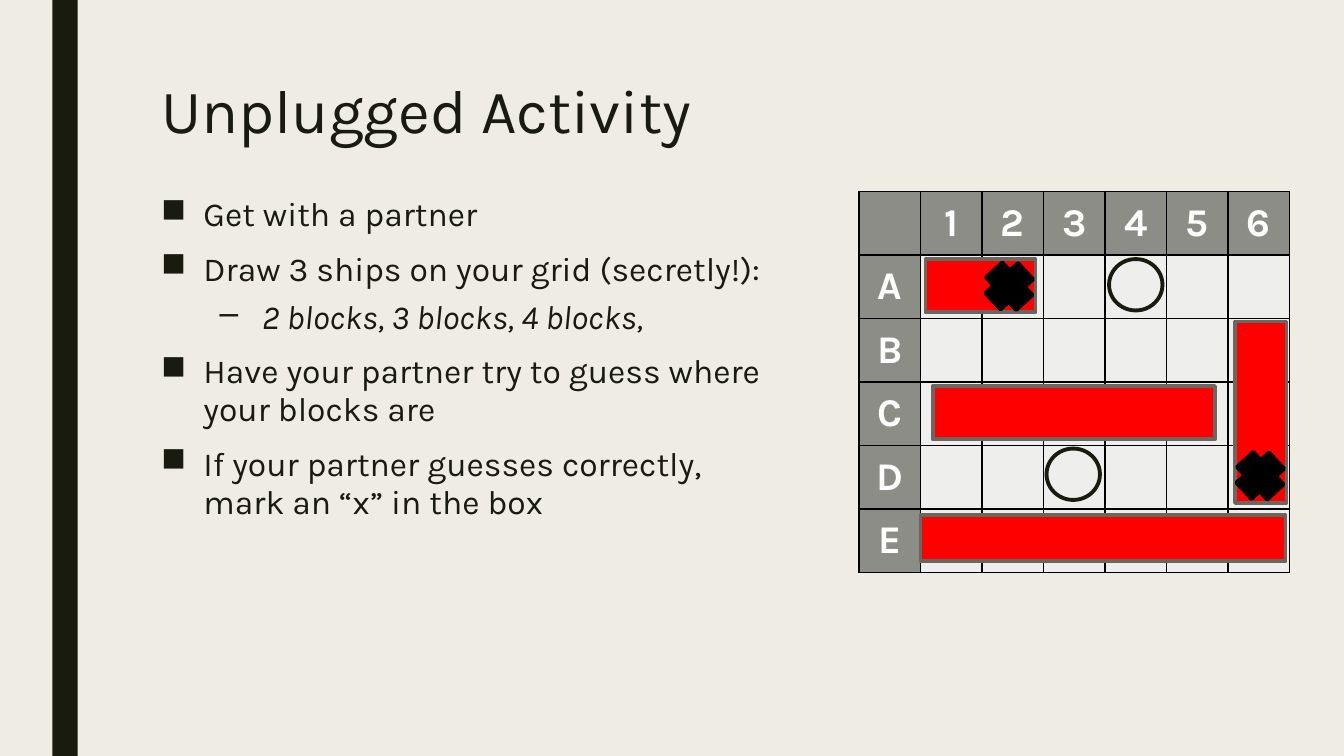
import pptx
import pptx.util
import pptx.dml.color
import pptx.enum.shapes
import pptx.enum.text
import pptx.oxml
import pptx.oxml.ns

Inches, Pt = pptx.util.Inches, pptx.util.Pt
RGBColor = pptx.dml.color.RGBColor
MSO_SHAPE = pptx.enum.shapes.MSO_SHAPE
PP_ALIGN = pptx.enum.text.PP_ALIGN
MSO_ANCHOR = pptx.enum.text.MSO_ANCHOR

FONT = "Karla"
CREAM = RGBColor(0xEF, 0xED, 0xE3)
INK = RGBColor(0x19, 0x1B, 0x0E)
WHITE = RGBColor(0xFF, 0xFF, 0xFF)
BLACK = RGBColor(0x00, 0x00, 0x00)
HEADER_GRAY = RGBColor(0x8C, 0x8D, 0x86)
CELL_GRAY = RGBColor(0xEE, 0xEE, 0xED)
SHIP_RED = RGBColor(0xFF, 0x00, 0x00)
SHIP_EDGE = RGBColor(0x68, 0x68, 0x63)

STEPS = [
    (0, "Get with a partner"),
    (0, "Draw 3 ships on your grid (secretly!):"),
    (1, "2 blocks, 3 blocks, 4 blocks,"),
    (0, "Have your partner try to guess where your blocks are"),
    (0, "If your partner guesses correctly, mark an “x” in the box"),
]
# Per level: bullet, left indent, space before
LEVELS = [("■", 0.42, 10), ("–", 1, 5)]

COLUMNS = "123456"
ROWS = "ABCDE"
# Offsets from the grid's corner, in inches
SHIPS = [(0.66, 0.67, 1.09, 0.53), (3.73, 1.29, 0.51, 1.8),
         (0.61, 3.21, 3.62, 0.46), (0.73, 1.93, 2.8, 0.53)]
MISSES = [(2.48, 0.67), (1.86, 2.55)]
HITS = [(1.27, 0.72), (3.76, 2.6)]


def add_run(p, text, size, color, bold=False, italic=False):
    r = p.add_run()
    r.text = text
    r.font.name = FONT
    r.font.size = Pt(size)
    r.font.color.rgb = color
    r.font.bold = bold
    r.font.italic = italic


def add_shape(s, kind, x, y, w, h, fill=None, line=None):
    sp = s.shapes.add_shape(kind, Inches(x), Inches(y), Inches(w), Inches(h))
    sp.shadow.inherit = False
    if fill is None:
        sp.fill.background()
    else:
        sp.fill.solid()
        sp.fill.fore_color.rgb = fill
    if line is None:
        sp.line.fill.background()
    else:
        sp.line.color.rgb = line
        sp.line.width = Pt(2.75)
    return sp


def add_text_frame(s, x, y, w, h):
    tf = s.shapes.add_textbox(Inches(x), Inches(y), Inches(w), Inches(h)).text_frame
    tf.word_wrap = True
    return tf


def add_title(s, x, y, w, h):
    p = add_text_frame(s, x, y, w, h).paragraphs[0]
    p.line_spacing = 0.89
    add_run(p, "Unplugged Activity", 44, INK)


def set_bullet(p, char, indent):
    pPr = p._p.get_or_add_pPr()
    pPr.set("marL", str(Inches(indent)))
    pPr.set("indent", str(Inches(-0.42)))
    pPr.append(pptx.oxml.parse_xml(
        f'<a:buChar {pptx.oxml.ns.nsdecls("a")} char="{char}"/>'))


def add_steps(s, x, y, w, h):
    tf = add_text_frame(s, x, y, w, h)
    for i, (level, text) in enumerate(STEPS):
        p = tf.add_paragraph() if i else tf.paragraphs[0]
        char, indent, before = LEVELS[level]
        p.level = level
        p.line_spacing = 0.94
        p.space_before = Pt(before)
        p.space_after = Pt(2)
        set_bullet(p, char, indent)
        add_run(p, text, 24, INK, italic=level == 1)


def set_borders(cell):
    tcPr = cell._tc.get_or_add_tcPr()
    for i, side in enumerate(("lnL", "lnR", "lnT", "lnB")):
        tcPr.insert(i, pptx.oxml.parse_xml(
            f'<a:{side} {pptx.oxml.ns.nsdecls("a")} w="{Pt(1)}"><a:solidFill>'
            f'<a:srgbClr val="{BLACK}"/></a:solidFill></a:{side}>'))


def add_grid(s, x, y, w, h):
    # Lettered and numbered table
    n_rows, n_cols = len(ROWS) + 1, len(COLUMNS) + 1
    table = s.shapes.add_table(n_rows, n_cols, Inches(x), Inches(y),
                               Inches(w), Inches(h)).table
    for i in range(n_rows):
        for j in range(n_cols):
            cell = table.cell(i, j)
            cell.fill.solid()
            cell.fill.fore_color.rgb = CELL_GRAY if i and j else HEADER_GRAY
            set_borders(cell)
            if (i == 0) != (j == 0):
                cell.vertical_anchor = MSO_ANCHOR.MIDDLE
                p = cell.text_frame.paragraphs[0]
                p.alignment = PP_ALIGN.CENTER
                add_run(p, ROWS[i - 1] if i else COLUMNS[j - 1], 28, WHITE, bold=True)

    # Ships, then missed and correct guesses
    for dx, dy, sw, sh in SHIPS:
        add_shape(s, MSO_SHAPE.RECTANGLE, x + dx, y + dy, sw, sh, SHIP_RED, SHIP_EDGE)
    for dx, dy in MISSES:
        add_shape(s, MSO_SHAPE.OVAL, x + dx, y + dy, 0.53, 0.51, line=INK)
    for dx, dy in HITS:
        sp = add_shape(s, MSO_SHAPE.CROSS, x + dx, y + dy, 0.44, 0.44, BLACK, BLACK)
        sp.rotation = 317.2


def main():
    prs = pptx.Presentation()
    prs.slide_width, prs.slide_height = Inches(13.33), Inches(7.5)
    s = prs.slides.add_slide(prs.slide_layouts[6])
    s.background.fill.solid()
    s.background.fill.fore_color.rgb = CREAM

    # Side bar
    add_shape(s, MSO_SHAPE.RECTANGLE, 0.52, 0, 0.25, 7.5, INK)
    add_title(s, 1.5, 0.75, 10.5, 1.06)
    add_steps(s, 1.5, 1.9, 6.3, 4.52)
    add_grid(s, 8.52, 1.9, 4.27, 3.78)
    prs.save("out.pptx")


if __name__ == "__main__":
    main()
